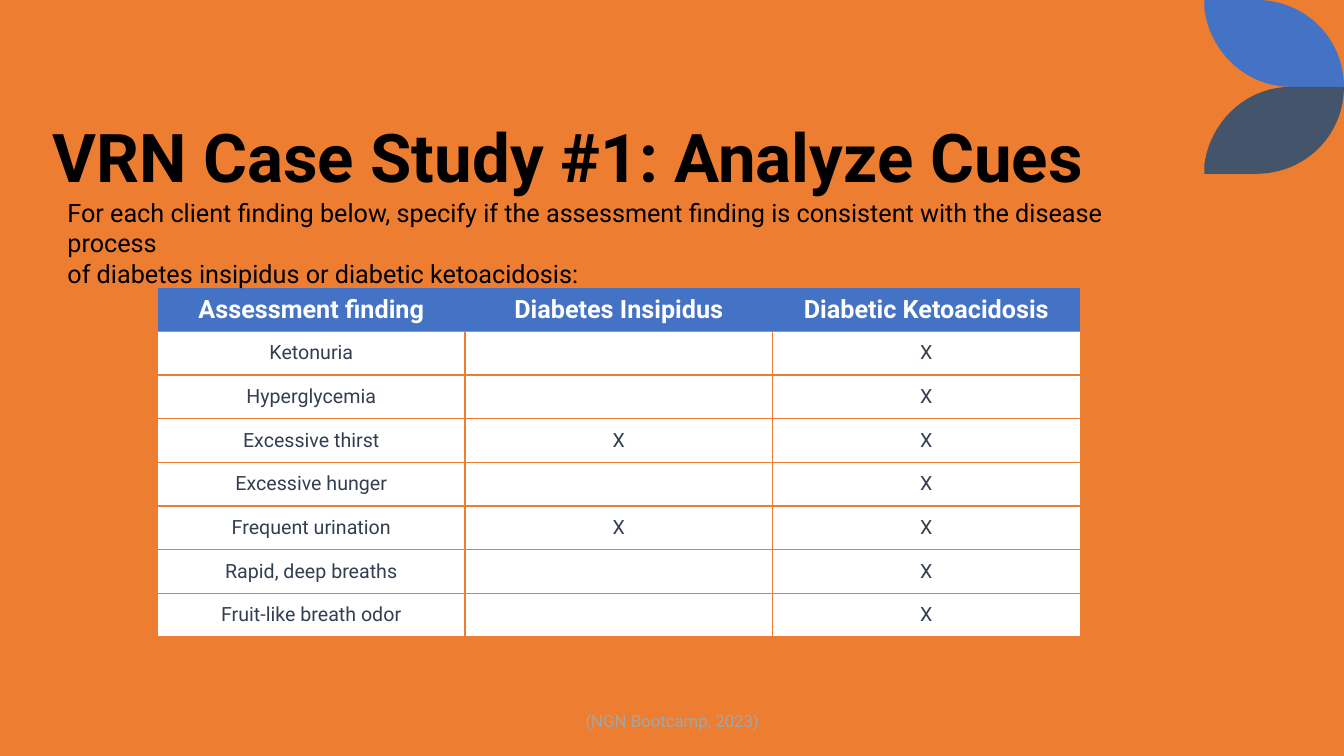
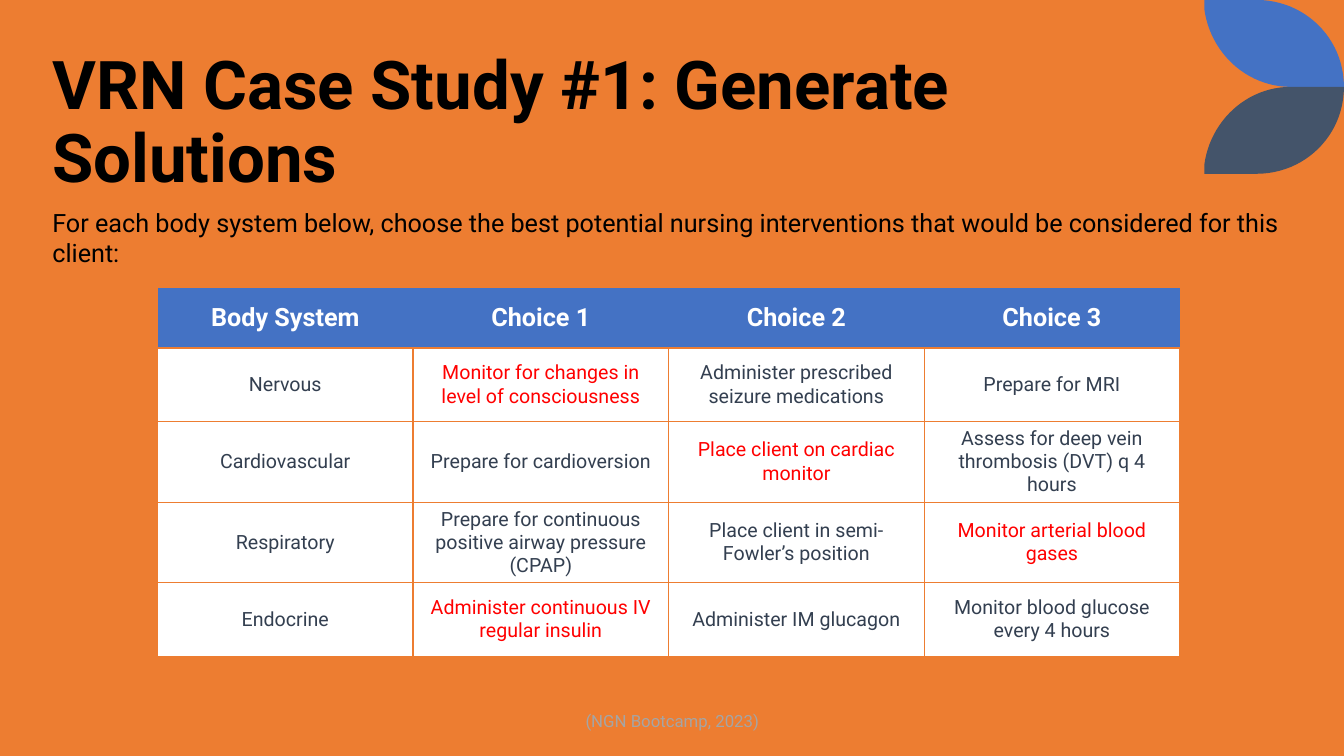
from dataclasses import dataclass

from lxml import etree
from pptx import Presentation
from pptx.dml.color import RGBColor
from pptx.enum import text
from pptx.oxml import ns
from pptx.util import Cm, Pt


@dataclass(frozen=True)
class Theme:
    font: str = "Roboto"
    background: str = "ED7D31"
    blue: str = "4472C4"
    slate: str = "44546A"
    ink: str = "000000"
    white: str = "FFFFFF"
    cell_ink: str = "333F50"
    answer: str = "FF0000"
    muted: str = "A5A5A5"
    title_size: int = 48
    body_size: int = 18
    cell_size: int = 14
    footer_size: int = 12


THEME = Theme()
SLIDE_SIZE = (33.87, 19.05)
TITLE_BOX = (1.07, 1.4, 30.05, 3.68)
FOOTER_BOX = (11.23, 17.65, 11.43, 1.02)
LEAF_BOX = (30.35, 0, 3.52, 2.19)
NO_GRID_STYLE = "{2D5ABB26-0587-4C30-8999-92F81FD0307C}"

CUES = [
    ("Assessment finding", "Diabetes Insipidus", "Diabetic Ketoacidosis"),
    ("Ketonuria", "", "X"),
    ("Hyperglycemia", "", "X"),
    ("Excessive thirst", "X", "X"),
    ("Excessive hunger", "", "X"),
    ("Frequent urination", "X", "X"),
    ("Rapid, deep breaths", "", "X"),
    ("Fruit-like breath odor", "", "X"),
]
SOLUTIONS = [
    ("Body System", "Choice 1", "Choice 2", "Choice 3"),
    ("Nervous", "Monitor for changes in level of consciousness",
     "Administer prescribed seizure medications", "Prepare for MRI"),
    ("Cardiovascular", "Prepare for cardioversion", "Place client on cardiac monitor",
     "Assess for deep vein thrombosis (DVT) q 4 hours"),
    ("Respiratory", "Prepare for continuous positive airway pressure (CPAP)",
     "Place client in semi- Fowler’s position", "Monitor arterial blood gases"),
    ("Endocrine", "Administer continuous IV regular insulin",
     "Administer IM glucagon", "Monitor blood glucose every 4 hours"),
]
SOLUTION_ANSWERS = {(1, 1), (2, 2), (3, 3), (4, 1)}


def rgb(color):
    return RGBColor.from_string(color)


def write_text(frame, *lines, size=THEME.body_size, color=THEME.ink, bold=False,
               align=text.PP_ALIGN.LEFT, spacing=None):
    """Write each line as one paragraph of the text frame."""
    frame.word_wrap = True
    for index, line in enumerate(lines):
        paragraph = frame.add_paragraph() if index else frame.paragraphs[0]
        paragraph.alignment = align
        if spacing:
            paragraph.line_spacing = spacing
        run = paragraph.add_run()
        run.text = line
        run.font.name = THEME.font
        run.font.size = Pt(size)
        run.font.bold = bold
        run.font.color.rgb = rgb(color)


def add_text(slide, box, *lines, anchor=text.MSO_ANCHOR.TOP, **style):
    frame = slide.shapes.add_textbox(*map(Cm, box)).text_frame
    frame.vertical_anchor = anchor
    write_text(frame, *lines, **style)


def curve(start, control_1, control_2, end, steps=24):
    """Return points along a cubic curve, without its start."""
    points = []
    for step in range(1, steps + 1):
        t = step / steps
        weights = ((1 - t) ** 3, 3 * t * (1 - t) ** 2, 3 * t * t * (1 - t), t ** 3)
        points.append(tuple(
            sum(weight * value for weight, value in zip(weights, axis))
            for axis in zip(start, control_1, control_2, end)))
    return points


def add_leaf(slide, box, color, flipped=False):
    left, top, width, height = box
    outline = [(0, 0), (0.375 * width, 0)]
    outline += curve(outline[-1], (0.72 * width, 0), (width, 0.44 * height), (width, height))
    outline.append((0.62 * width, height))
    outline += curve(outline[-1], (0.3 * width, height), (0.04 * width, 0.6 * height),
                     (0, 0.1 * height))
    points = [(Cm(left + x), Cm(top + (height - y if flipped else y))) for x, y in outline]
    builder = slide.shapes.build_freeform(*points[0], scale=1.0)
    builder.add_line_segments(points[1:], close=True)
    leaf = builder.convert_to_shape()
    leaf.shadow.inherit = False
    leaf.fill.solid()
    leaf.fill.fore_color.rgb = rgb(color)
    leaf.line.fill.background()


def add_borders(cell, sides):
    properties = cell._tc.get_or_add_tcPr()
    for side in sides:
        line = etree.SubElement(properties, ns.qn(f"a:ln{side}"), w=str(Pt(1)))
        fill = etree.SubElement(line, ns.qn("a:solidFill"))
        etree.SubElement(fill, ns.qn("a:srgbClr"), val=THEME.background)


def add_answer_table(slide, left, top, column_width, row_heights, rows, answers=()):
    """Place a table with a blue header, marking the answer cells in red."""
    size = (column_width * len(rows[0]), sum(row_heights))
    table = slide.shapes.add_table(len(rows), len(rows[0]), *map(Cm, (left, top, *size))).table
    table.horz_banding = False
    table._tbl.tblPr.find(ns.qn("a:tableStyleId")).text = NO_GRID_STYLE
    for column in table.columns:
        column.width = Cm(column_width)
    for r, (row, height) in enumerate(zip(rows, row_heights)):
        header = r == 0
        table.rows[r].height = Cm(height)
        for c, value in enumerate(row):
            cell = table.cell(r, c)
            cell.vertical_anchor = text.MSO_ANCHOR.MIDDLE
            add_borders(cell, "B" if header else "LRTB")
            cell.fill.solid()
            cell.fill.fore_color.rgb = rgb(THEME.blue if header else THEME.white)
            if not value:
                continue
            body_color = THEME.answer if (r, c) in answers else THEME.cell_ink
            write_text(cell.text_frame, value, bold=header, align=text.PP_ALIGN.CENTER,
                       size=THEME.body_size if header else THEME.cell_size,
                       color=THEME.white if header else body_color)


def add_case_slide(presentation, title):
    """Add a slide with the shared background, leaves, title and footer."""
    slide = presentation.slides.add_slide(presentation.slide_layouts[6])
    slide.background.fill.solid()
    slide.background.fill.fore_color.rgb = rgb(THEME.background)
    left, top, width, height = LEAF_BOX
    add_leaf(slide, LEAF_BOX, THEME.blue)
    add_leaf(slide, (left, top + height, width, height), THEME.slate, flipped=True)
    add_text(slide, TITLE_BOX, title, anchor=text.MSO_ANCHOR.BOTTOM,
             size=THEME.title_size, bold=True, spacing=0.9)
    add_text(slide, FOOTER_BOX, "(NGN Bootcamp, 2023)", anchor=text.MSO_ANCHOR.MIDDLE,
             size=THEME.footer_size, color=THEME.muted, align=text.PP_ALIGN.CENTER)
    return slide


def main():
    presentation = Presentation()
    presentation.slide_width, presentation.slide_height = map(Cm, SLIDE_SIZE)

    slide = add_case_slide(presentation, "VRN Case Study #1: Analyze Cues")
    add_answer_table(slide, 3.97, 7.25, 7.75, [1.1] * len(CUES), CUES)
    add_text(slide, (1.45, 4.85, 28.3, 1.8),
             "For each client finding below, specify if the assessment finding is "
             "consistent with the disease process",
             "of diabetes insipidus or diabetic ketoacidosis:")

    slide = add_case_slide(presentation, "VRN Case Study #1: Generate Solutions")
    add_answer_table(slide, 3.97, 7.25, 6.44, [1.52] + [1.85] * 4, SOLUTIONS, SOLUTION_ANSWERS)
    add_text(slide, (1.07, 5.1, 33.17, 1.8),
             "For each body system below, choose the best potential nursing interventions "
             "that would be considered for this client:")

    presentation.save("out.pptx")


if __name__ == "__main__":
    main()
